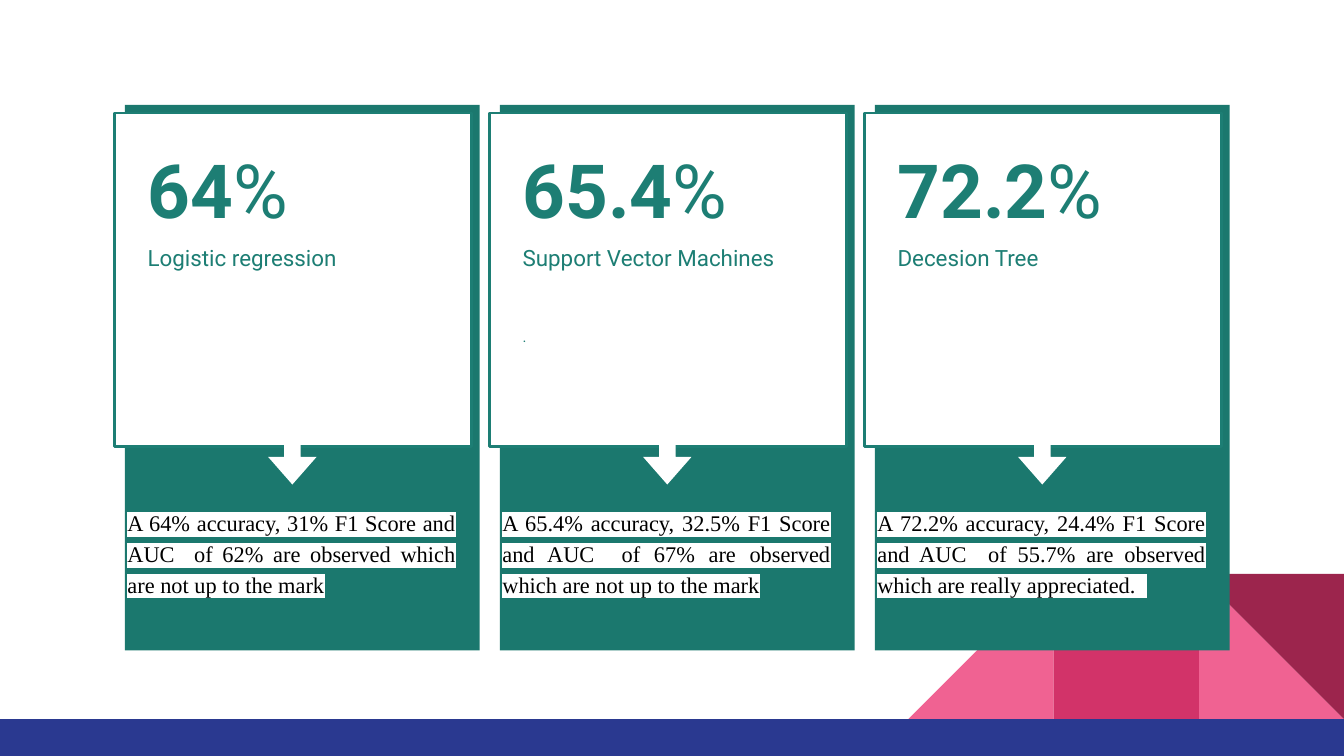
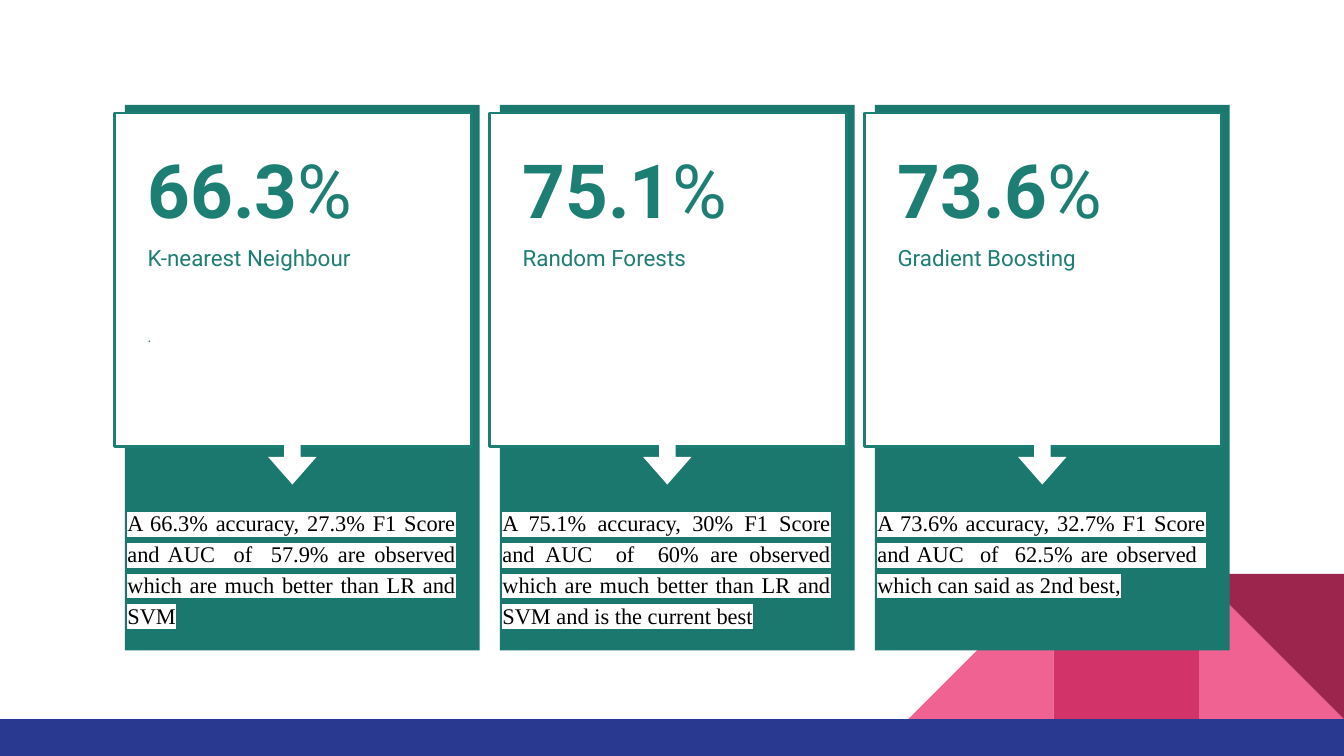
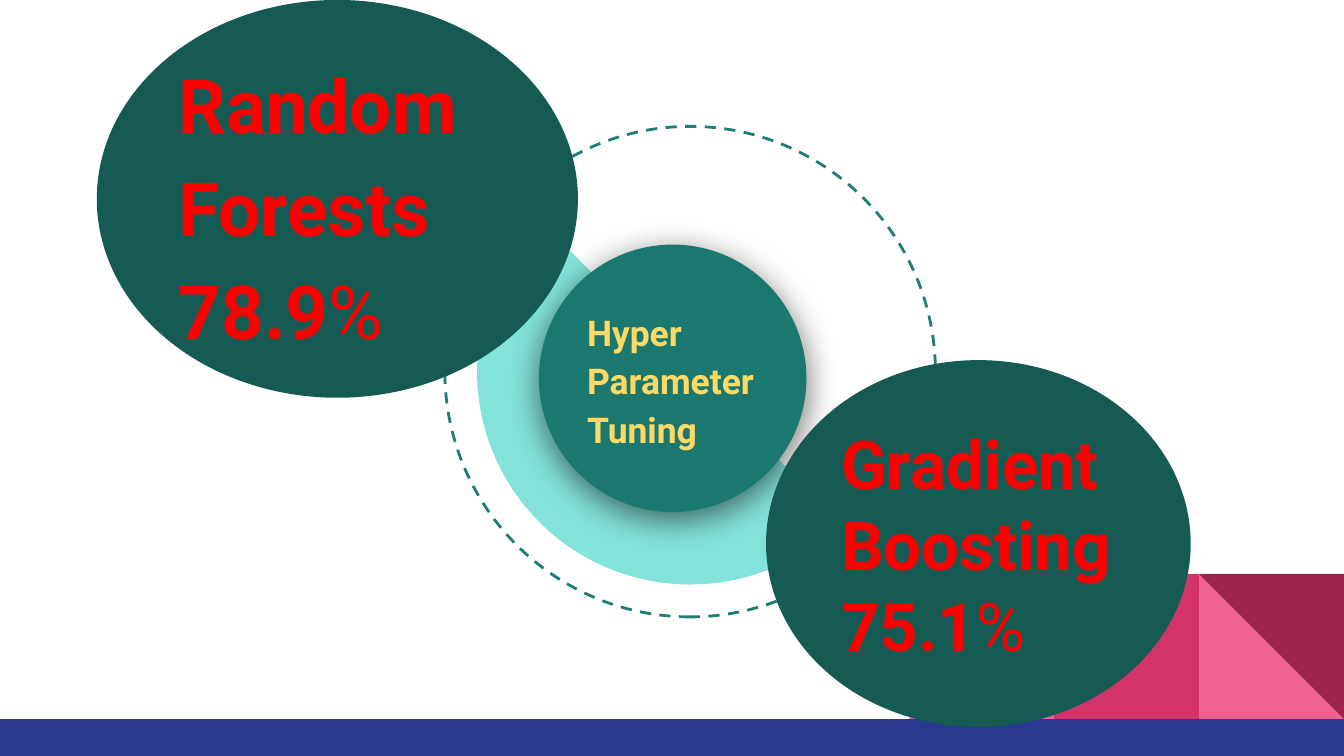
"""Builds three slides on classifier accuracy and hyper parameter tuning."""
from lxml.etree import SubElement
from pptx import Presentation
from pptx.dml.color import RGBColor
from pptx.enum.dml import MSO_LINE_DASH_STYLE as Dash
from pptx.enum.shapes import MSO_SHAPE as Shape
from pptx.enum.text import MSO_ANCHOR as Anchor, PP_ALIGN as Align
from pptx.oxml.ns import qn
from pptx.util import Inches, Pt

WHITE = RGBColor(0xFF, 0xFF, 0xFF)
BLACK = RGBColor(0x00, 0x00, 0x00)
TEAL = RGBColor(0x1B, 0x78, 0x6E)
TEAL_TEXT = RGBColor(0x1D, 0x7E, 0x74)
TEAL_DARK = RGBColor(0x15, 0x5B, 0x54)
TEAL_LIGHT = RGBColor(0x83, 0xE3, 0xD9)
PINK = RGBColor(0xF0, 0x62, 0x92)
ROSE = RGBColor(0xD2, 0x33, 0x69)
WINE = RGBColor(0x9C, 0x25, 0x4D)
NAVY = RGBColor(0x2A, 0x39, 0x90)
YELLOW = RGBColor(0xFF, 0xD9, 0x66)
RED = RGBColor(0xFF, 0x00, 0x00)

SANS = "Roboto"
SERIF = "Times New Roman"
CARD_LEFT = 0.85
CARD_PITCH = 2.79

BASELINE_MODELS = [
    ("64", "Logistic regression", "",
     "A 64% accuracy, 31% F1 Score and AUC  of 62% are observed which are not up to the mark"),
    ("65.4", "Support Vector Machines", ".",
     "A 65.4% accuracy, 32.5% F1 Score and AUC  of 67% are observed which are not up to the mark"),
    ("72.2", "Decesion Tree", "",
     "A 72.2% accuracy, 24.4% F1 Score and AUC  of 55.7% are observed which are really appreciated.  "),
]
STRONGER_MODELS = [
    ("66.3", "K-nearest Neighbour", ".",
     "A 66.3% accuracy, 27.3% F1 Score and AUC  of  57.9% are observed which are much better than LR and SVM"),
    ("75.1", "Random Forests", "",
     "A 75.1% accuracy, 30% F1 Score and AUC  of  60% are observed which are much better than LR and SVM"
     " and is the current best"),
    ("73.6", "Gradient Boosting", "",
     "A 73.6% accuracy, 32.7% F1 Score and AUC  of  62.5% are observed  which can said as 2nd best,"),
]


def add_figure(shapes, kind, frame, fill=None, line=None, rotation=0):
    """Add a preset shape without shadow, with optional fill and outline."""
    figure = shapes.add_shape(kind, *map(Inches, frame))
    figure.shadow.inherit = False
    figure.rotation = rotation
    if fill is None:
        figure.fill.background()
    else:
        figure.fill.solid()
        figure.fill.fore_color.rgb = fill
    if line is None:
        figure.line.fill.background()
    else:
        figure.line.color.rgb = line
        figure.line.width = Pt(1.5)
    return figure


def style_span(span, size, color, bold, font=SANS):
    """Set the look of one run."""
    span.font.name = font
    span.font.size = Pt(size)
    span.font.bold = bold
    span.font.color.rgb = color


def add_text(shapes, frame, text, size, color, bold=False, font=SANS,
             spacing=1.0, anchor=Anchor.TOP, percent=False):
    """Add a wrapped text box, optionally ending in a light percent sign."""
    box = shapes.add_textbox(*map(Inches, frame))
    text_frame = box.text_frame
    text_frame.word_wrap = True
    text_frame.vertical_anchor = anchor
    text_frame.margin_left = text_frame.margin_right = Inches(0.1)
    text_frame.margin_top = text_frame.margin_bottom = Inches(0.1)
    text_frame.text = text
    for para in text_frame.paragraphs:
        para.line_spacing = spacing
        for span in para.runs:
            style_span(span, size, color, bold, font)
    if percent:
        sign = text_frame.paragraphs[-1].add_run()
        sign.text = "%"
        style_span(sign, size, color, False, font)
    return box


def highlight(box, color):
    """Put a highlight colour behind all runs of a box."""
    for properties in box.element.iter(qn("a:rPr")):
        mark = SubElement(properties, qn("a:highlight"))
        SubElement(mark, qn("a:srgbClr"), val=str(color))
        properties.find(qn("a:latin")).addprevious(mark)


def add_soft_shadow(figure):
    """Give a shape a blurred shadow straight below it."""
    effects = figure.element.spPr.find(qn("a:effectLst"))
    shadow = SubElement(effects, qn("a:outerShdw"), blurRad=str(Pt(18)), dist=str(Pt(4)),
                        dir="5400000", algn="bl", rotWithShape="0")
    color = SubElement(shadow, qn("a:srgbClr"), val=str(BLACK))
    SubElement(color, qn("a:alpha"), val="55000")


def decorate_layout(layout, page):
    """Draw the corner tiles and the bottom band, and move them to the layout."""
    for holder in list(layout.placeholders):
        holder.element.getparent().remove(holder.element)
    tile, top = 1.08, 4.27
    left, middle, right = (10 - count * tile for count in (3, 2, 1))
    shapes = page.shapes
    slope = add_figure(shapes, Shape.RIGHT_TRIANGLE, (left, top, tile, tile), PINK)
    slope.element.spPr.find(qn("a:xfrm")).set("flipH", "1")
    parts = [
        add_figure(shapes, Shape.RIGHT_TRIANGLE, (right, top, tile, tile), PINK),
        slope,
        add_figure(shapes, Shape.RECTANGLE, (middle, top, tile, tile), ROSE),
        add_figure(shapes, Shape.RIGHT_TRIANGLE, (right, top, tile, tile), WINE, rotation=180),
        add_figure(shapes, Shape.RECTANGLE, (0, 5.35, 10, 0.28), NAVY),
    ]
    for part in parts:
        layout.shapes.element.append(part.element)


def add_card(page, left, score, model, note, verdict):
    """Add one model card: score on white, arrow and verdict on teal."""
    shapes = page.shapes.add_group_shape().shapes
    text_left = left + 0.15
    add_figure(shapes, Shape.RECTANGLE, (left + 0.08, 0.78, 2.64, 4.06), TEAL)
    add_figure(shapes, Shape.RECTANGLE, (left, 0.84, 2.66, 2.48), WHITE, TEAL_TEXT)
    add_text(shapes, (text_left, 1.72, 2.36, 0.61), model, 12, TEAL_TEXT)
    if note:
        add_text(shapes, (text_left, 2.34, 2.36, 0.83), note, 8, TEAL_TEXT, spacing=1.15)
    add_text(shapes, (text_left, 0.97, 2.36, 0.67), score, 40, TEAL_TEXT, bold=True, percent=True)
    arrow = add_figure(shapes, Shape.RIGHT_ARROW, (left + 1.13, 3.23, 0.39, 0.36), WHITE, rotation=90)
    arrow.adjustments[0] = 0.34
    arrow.adjustments[1] = 0.57
    box = add_text(shapes, (left, 3.66, 2.64, 1.08), verdict, 12, BLACK, font=SERIF, spacing=1.15)
    box.text_frame.paragraphs[0].alignment = Align.JUSTIFY
    box.text_frame.paragraphs[0].space_before = Pt(12)
    highlight(box, WHITE)


def add_cards(page, models):
    """Lay the model cards out in a row."""
    for index, model in enumerate(models):
        add_card(page, CARD_LEFT + index * CARD_PITCH, *model)


def add_orbit(page):
    """Add the dashed ring and the half disc behind the hub."""
    shapes = page.shapes.add_group_shape().shapes
    ring = add_figure(shapes, Shape.OVAL, (3.31, 0.94, 3.65, 3.65), line=TEAL_TEXT, rotation=270)
    ring.line.dash_style = Dash.DASH
    half = add_figure(shapes, Shape.PIE, (3.55, 1.18, 3.17, 3.17), TEAL_LIGHT)
    half.adjustments[0] = 26.9
    half.adjustments[1] = 135.11


def add_bubble(page, oval, frame, fill, text, size, color, **style):
    """Add an ellipse with a bold text box over it and return the ellipse."""
    shapes = page.shapes.add_group_shape().shapes
    bubble = add_figure(shapes, Shape.OVAL, oval, fill)
    add_text(shapes, frame, text, size, color, bold=True, anchor=Anchor.MIDDLE, **style)
    return bubble


def add_tuning(page):
    """Show the two tuned models around the hub."""
    add_orbit(page)
    hub = add_bubble(page, (4.01, 1.82, 1.99, 1.99), (4.27, 2.36, 1.47, 0.9), TEAL,
                     "Hyper Parameter Tuning", 19, YELLOW, spacing=1.15)
    add_soft_shadow(hub)
    add_bubble(page, (0.72, 0, 3.58, 2.96), (1.23, 0.47, 2.55, 2.03), TEAL_DARK,
               "Random Forests\n78.9", 40, RED, spacing=1.15, percent=True)
    add_bubble(page, (5.7, 2.68, 3.16, 2.73), (6.16, 3.11, 2.26, 1.87), TEAL_DARK,
               "Gradient Boosting\n75.1", 36, RED, percent=True)


def main():
    """Build and save the deck."""
    deck = Presentation()
    deck.slide_width = Inches(10)
    deck.slide_height = deck.slide_width * 9 // 16
    layout = deck.slide_layouts[6]
    baseline, stronger, tuning = (deck.slides.add_slide(layout) for _ in range(3))
    decorate_layout(layout, baseline)
    add_cards(baseline, BASELINE_MODELS)
    add_cards(stronger, STRONGER_MODELS)
    add_tuning(tuning)
    deck.save("out.pptx")


if __name__ == "__main__":
    main()
